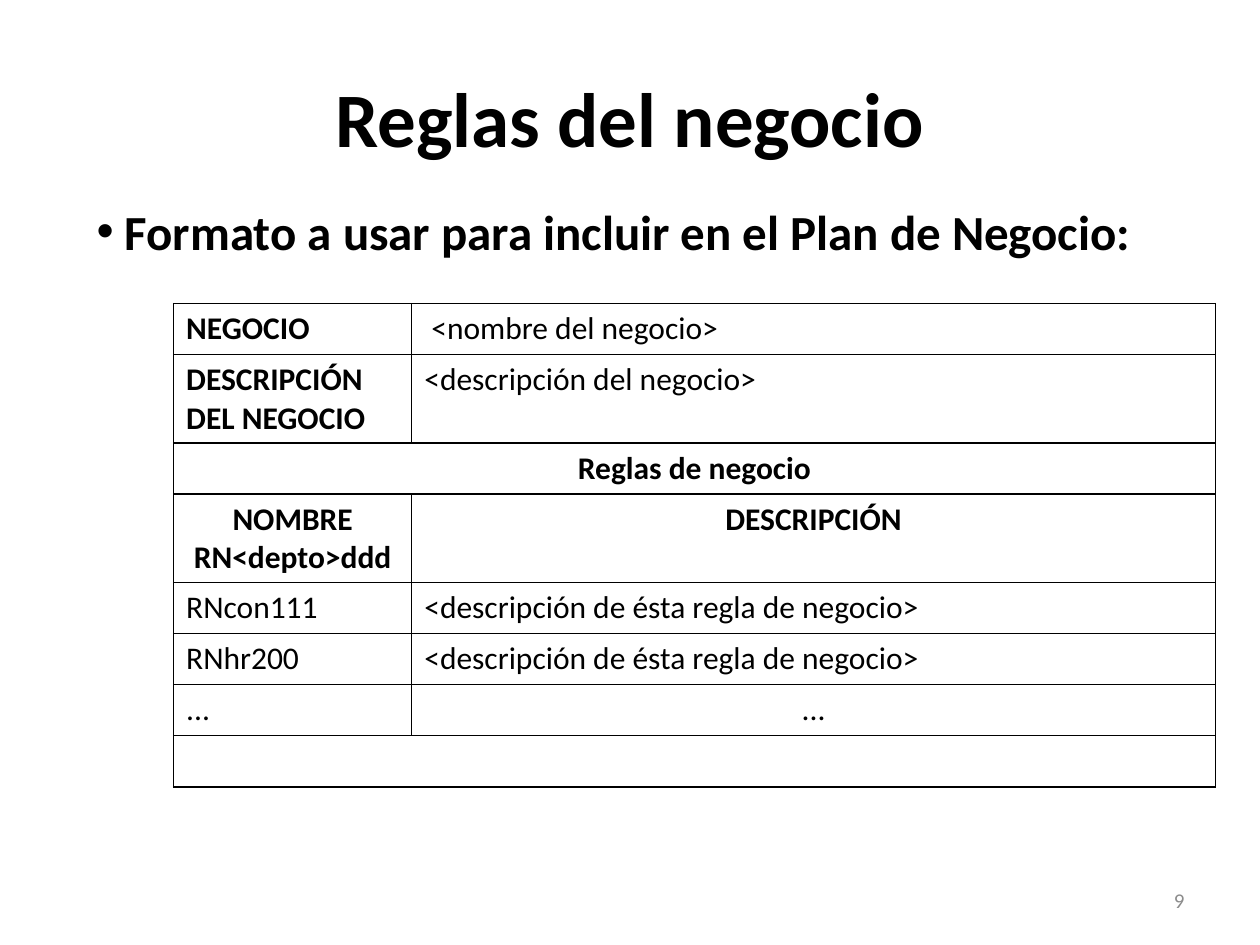
from dataclasses import dataclass

from lxml.etree import SubElement
from pptx import Presentation
from pptx.dml.color import RGBColor
from pptx.enum.text import MSO_ANCHOR as Anchor, PP_ALIGN as Align
from pptx.oxml.ns import qn
from pptx.util import Cm, Pt


@dataclass(frozen=True)
class Theme:
    font: str = "Calibri"
    ink: str = "000000"
    muted: str = "8C8C8C"
    title: int = 44
    lead: int = 28
    body: int = 18
    note: int = 12
    border: int = 1


@dataclass(frozen=True)
class CellText:
    text: str
    bold: bool = False
    align: Align = Align.LEFT


@dataclass(frozen=True)
class TableRow:
    cells: tuple[CellText, ...]  # a single cell spans the whole row
    height: float = 1.03


THEME = Theme()
TALL = 1.78
COLUMN_WIDTHS = (4.8, 16.2)
RULE_TEXT = CellText("<descripción de ésta regla de negocio>")
ROWS = (
    TableRow((CellText("NEGOCIO", True), CellText(" <nombre del negocio>"))),
    TableRow((CellText("DESCRIPCIÓN DEL NEGOCIO", True),
              CellText("<descripción del negocio>")), TALL),
    TableRow((CellText("Reglas de negocio", True, Align.CENTER),)),
    TableRow((CellText("NOMBRE\nRN<depto>ddd", True, Align.CENTER),
              CellText("DESCRIPCIÓN", True, Align.CENTER)), TALL),
    TableRow((CellText("RNcon111"), RULE_TEXT)),
    TableRow((CellText("RNhr200"), RULE_TEXT)),
    TableRow((CellText("..."), CellText("...", align=Align.CENTER))),
    TableRow((CellText(""),)),
)


def write(frame, text: str, *, size: int, bold: bool = False,
          color: str = THEME.ink, align: Align = Align.LEFT) -> None:
    """Fill a text frame, one paragraph per line."""
    frame.text = text
    for para in frame.paragraphs:
        para.alignment = align
        para.font.size = Pt(size)
        for span in para.runs:
            span.font.name = THEME.font
            span.font.size = Pt(size)
            span.font.bold = bold
            span.font.color.rgb = RGBColor.from_string(color)


def add_text(page, text: str, left: float, top: float, width: float,
             height: float, *, anchor: Anchor = Anchor.TOP, **style):
    box = page.shapes.add_textbox(Cm(left), Cm(top), Cm(width), Cm(height))
    frame = box.text_frame
    frame.word_wrap = True
    frame.vertical_anchor = anchor
    write(frame, text, **style)
    return box


def add_bullet(para) -> None:
    properties = para._p.get_or_add_pPr()
    SubElement(properties, qn("a:buFont"), typeface="Arial")
    SubElement(properties, qn("a:buChar"), char="•")


def add_borders(cell) -> None:
    properties = cell._tc.get_or_add_tcPr()
    for side in ("lnL", "lnR", "lnT", "lnB"):
        line = SubElement(properties, qn(f"a:{side}"), w=str(Pt(THEME.border)))
        fill = SubElement(line, qn("a:solidFill"))
        SubElement(fill, qn("a:srgbClr"), val=THEME.ink)


def add_rules_table(page, left: float, top: float) -> None:
    total_height = sum(row.height for row in ROWS)
    table = page.shapes.add_table(
        len(ROWS), len(COLUMN_WIDTHS), Cm(left), Cm(top),
        Cm(sum(COLUMN_WIDTHS)), Cm(total_height)).table
    table.first_row = table.horz_banding = False
    for column, width in zip(table.columns, COLUMN_WIDTHS):
        column.width = Cm(width)
    for index, row in enumerate(ROWS):
        table.rows[index].height = Cm(row.height)
        cells = list(table.rows[index].cells)
        for cell in cells:
            add_borders(cell)
            cell.fill.background()
        if len(row.cells) == 1:
            cells[0].merge(cells[-1])
        for cell, content in zip(cells, row.cells):
            write(cell.text_frame, content.text, size=THEME.body,
                  bold=content.bold, align=content.align)


def main() -> None:
    deck = Presentation()
    deck.slide_width, deck.slide_height = Cm(25.4), Cm(19.05)
    page = deck.slides.add_slide(deck.slide_layouts[6])

    # Title and lead line
    add_text(page, "Reglas del negocio", 1.27, 0.76, 22.86, 3.18,
             anchor=Anchor.MIDDLE, size=THEME.title, bold=True,
             align=Align.CENTER)
    lead = add_text(page, " Formato a usar para incluir en el Plan de Negocio:",
                    1.7, 3.94, 23.19, 1.45, size=THEME.lead, bold=True)
    add_bullet(lead.text_frame.paragraphs[0])

    # Business rules form
    add_rules_table(page, 3.5, 6.12)

    # Page number
    add_text(page, "9", 18.2, 17.65, 5.93, 1.01, anchor=Anchor.MIDDLE,
             size=THEME.note, color=THEME.muted, align=Align.RIGHT)

    deck.save("out.pptx")


if __name__ == "__main__":
    main()
